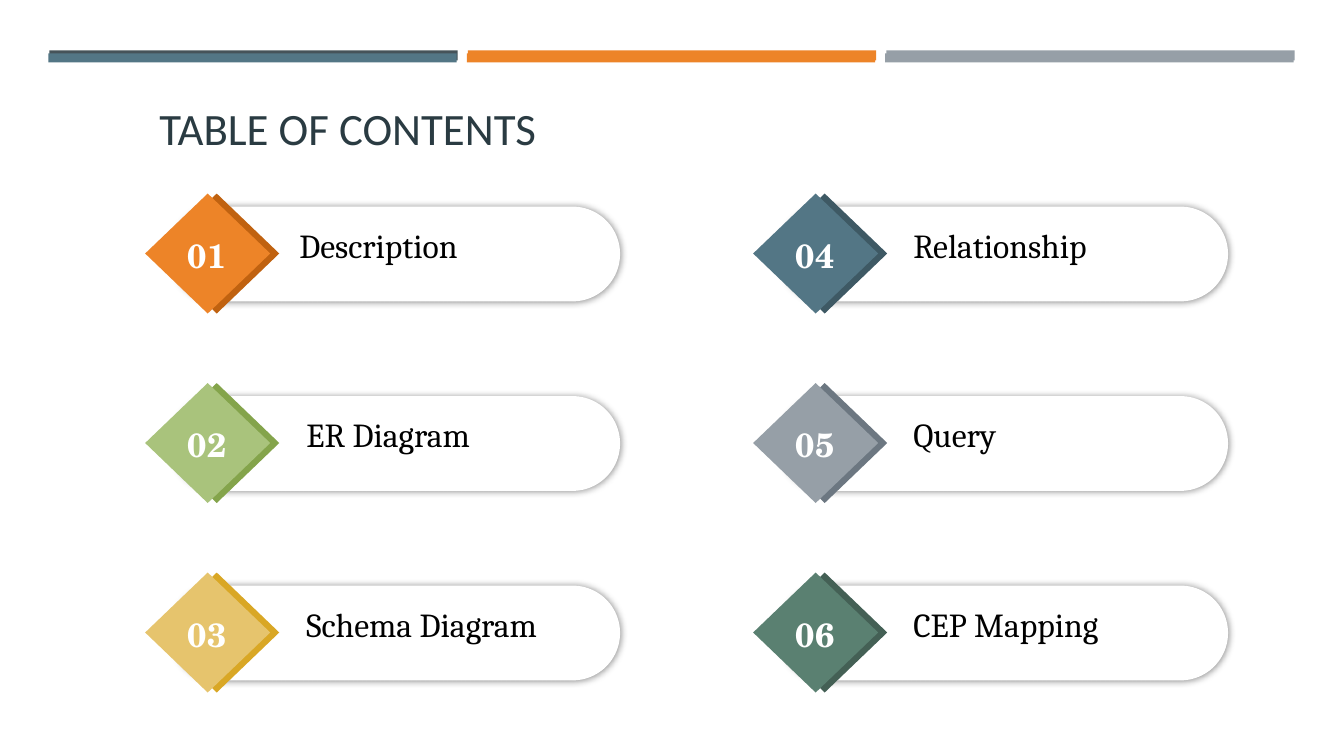
import dataclasses

import lxml.etree
import pptx
import pptx.dml.color
import pptx.enum.shapes
import pptx.enum.text
import pptx.oxml.ns
import pptx.util

PX = 9144  # EMU in one px, 100 px to the inch
SHAPE = pptx.enum.shapes.MSO_SHAPE
ALIGN = pptx.enum.text.PP_ALIGN
ANCHOR = pptx.enum.text.MSO_ANCHOR
AUTO_SIZE = pptx.enum.text.MSO_AUTO_SIZE


@dataclasses.dataclass(frozen=True)
class Theme:
    white: str = "FFFFFF"
    black: str = "000000"
    heading: str = "2A3B42"
    slate: str = "465359"
    blue: str = "537685"
    orange: str = "ED8428"
    grey: str = "969FA7"
    title_size: int = 32
    item_size: int = 24
    title_font: str = "Calibri"
    label_font: str = "Cambria"
    number_font: str = "TeX Gyre Schola"


THEME = Theme()

# Label, label offset from the pill, diamond colour, diamond edge colour
ITEMS = [
    ("Description", 117, THEME.orange, "C06210"),
    ("ER Diagram", 124, "A9C37C", "84A44B"),
    ("Schema Diagram", 124, "E6C46D", "D9A725"),
    ("Relationship", 123, THEME.blue, "3E5964"),
    ("Query", 123, THEME.grey, "6C7781"),
    ("CEP Mapping", 123, "5A8071", "446055"),
]
ROWS = 3
PILL_LEFT, PILL_TOP = 170, 205
COLUMN_STEP, ROW_STEP = 603, 188


def emu(*lengths):
    return [pptx.util.Emu(n * PX) for n in lengths]


def rgb(color):
    return pptx.dml.color.RGBColor.from_string(color)


def add_block(s, kind, box, color):
    sp = s.shapes.add_shape(kind, *emu(*box))
    sp.shadow.inherit = False
    sp.fill.solid()
    sp.fill.fore_color.rgb = rgb(color)
    sp.line.fill.background()
    return sp


def add_soft_shadow(sp):
    qn = pptx.oxml.ns.qn
    effects = sp._element.spPr.find(qn("a:effectLst"))
    shadow = lxml.etree.SubElement(effects, qn("a:outerShdw"), blurRad="63500",
                                   dist="0", dir="0", algn="ctr")
    color = lxml.etree.SubElement(shadow, qn("a:srgbClr"), val=THEME.black)
    lxml.etree.SubElement(color, qn("a:alpha"), val="40000")


def write(sp, text, font, color, align=ALIGN.LEFT, anchor=ANCHOR.TOP):
    tf = sp.text_frame
    frame_format = {"word_wrap": True, "vertical_anchor": anchor,
                    "auto_size": AUTO_SIZE.SHAPE_TO_FIT_TEXT}
    for name, value in frame_format.items():
        setattr(tf, name, value)
    p = tf.paragraphs[0]
    p.alignment = align
    r = p.add_run()
    r.text = text
    for name, value in font.items():
        setattr(r.font, name, value)
    r.font.color.rgb = rgb(color)


def add_text(s, box, *args, **kwargs):
    write(s.shapes.add_textbox(*emu(*box)), *args, **kwargs)


def add_title(s, text):
    sp = s.shapes.title
    sp.left, sp.top, sp.width, sp.height = emu(148, 95, 680, 64)
    font = {"name": THEME.title_font, "size": pptx.util.Pt(THEME.title_size)}
    write(sp, text, font, THEME.heading, anchor=ANCHOR.MIDDLE)


def add_top_bars(s):
    bars = [(THEME.slate, THEME.blue), (THEME.orange, THEME.orange),
            (THEME.grey, THEME.grey)]
    for i, (back, front) in enumerate(bars):
        x = 49 + 415 * i
        add_block(s, SHAPE.RECTANGLE, (x, 50, 405, 10), back)
        add_block(s, SHAPE.RECTANGLE, (x - 1, 53, 405, 9), front)


def add_item(s, x, y, number, label, label_dx, color, edge):
    # Pill with its soft shadow
    pill = add_block(s, SHAPE.ROUNDED_RECTANGLE, (x, y, 445, 94), THEME.white)
    pill.adjustments[0] = 0.5
    add_soft_shadow(pill)

    # Diamond over its darker edge
    for dx, fill in ((-17, edge), (-26, color)):
        add_block(s, SHAPE.DIAMOND, (x + dx, y - 13, 124, 119), fill)

    # Label and number
    size = pptx.util.Pt(THEME.item_size)
    add_text(s, (x + label_dx, y + 13, 403 - label_dx, 50), label,
             {"name": THEME.label_font, "size": size}, THEME.black)
    add_text(s, (x - 8, y + 23, 87, 47), number,
             {"name": THEME.number_font, "size": size, "bold": True},
             THEME.white, align=ALIGN.CENTER)


def main():
    prs = pptx.Presentation()
    prs.slide_width, prs.slide_height = emu(1333, 750)
    s = prs.slides.add_slide(prs.slide_layouts[5])

    add_top_bars(s)
    add_title(s, "TABLE OF CONTENTS")

    # Items run down each column in turn
    for i, item in enumerate(ITEMS):
        column, row = divmod(i, ROWS)
        add_item(s, PILL_LEFT + COLUMN_STEP * column,
                 PILL_TOP + ROW_STEP * row, f"{i + 1:02}", *item)

    prs.save("out.pptx")


if __name__ == "__main__":
    main()
